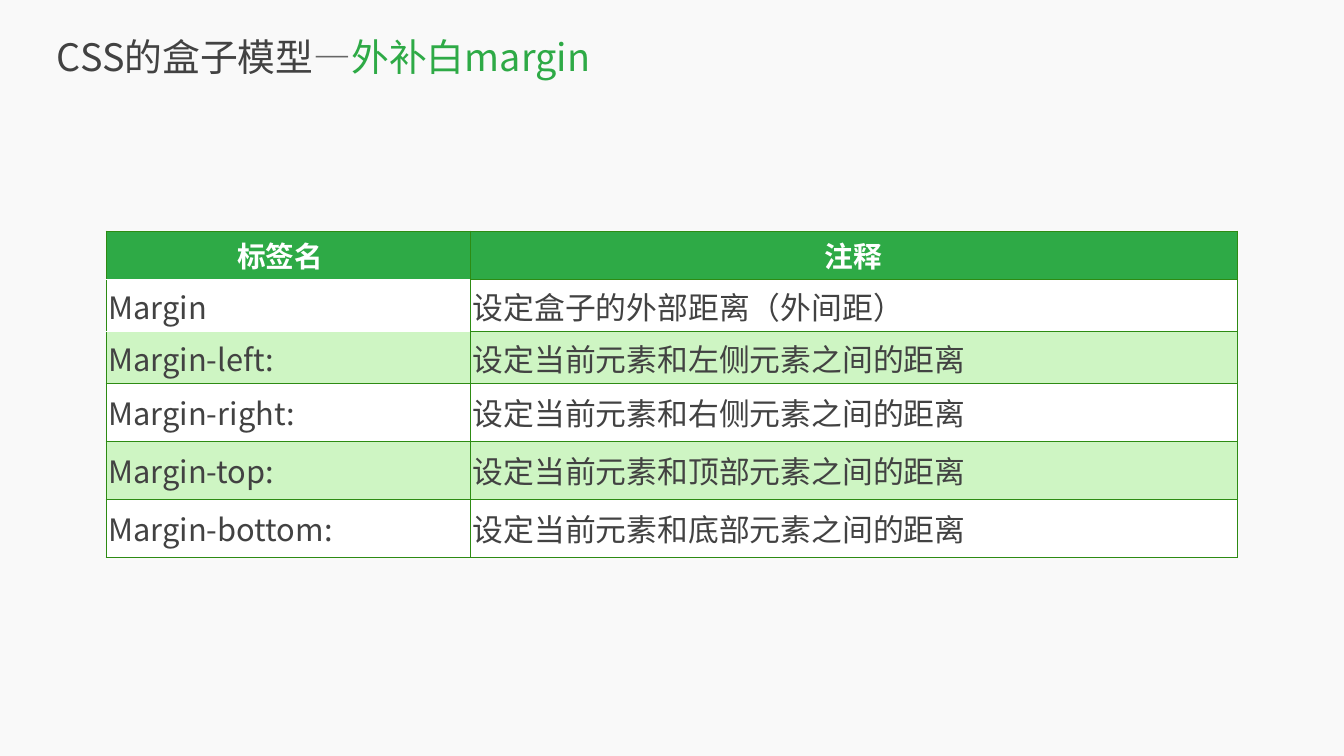
from pptx import Presentation
from pptx.dml.color import RGBColor
from pptx.enum.text import MSO_ANCHOR, MSO_AUTO_SIZE, PP_ALIGN
from pptx.oxml import parse_xml
from pptx.oxml.ns import nsdecls
from pptx.util import Pt

FONT = "Noto Sans CJK SC"
COLORS = {
    "background": "F9F9F9",
    "text": "424242",
    "dash": "666666",
    "accent": "2EAA46",
    "border": "2D8B13",
    "band": "CEF5C3",
    "white": "FFFFFF",
}
TITLE = [("CSS的盒子模型", "text"), ("—", "dash"), ("外补白margin", "accent")]
ROWS = [
    ("标签名", "注释"),
    ("Margin", "设定盒子的外部距离（外间距）"),
    ("Margin-left:", "设定当前元素和左侧元素之间的距离"),
    ("Margin-right:", "设定当前元素和右侧元素之间的距离"),
    ("Margin-top:", "设定当前元素和顶部元素之间的距离"),
    ("Margin-bottom:", "设定当前元素和底部元素之间的距离"),
]
COL_WIDTHS = [520.5, 1095.5]
ROW_HEIGHTS = [69.8, 74.2, 74.2, 82.8, 82.8, 82.8]


def rgb(name):
    return RGBColor.from_string(COLORS[name])


def format_run(r, size, color, bold=False):
    r.font.size = Pt(size)
    r.font.bold = bold
    r.font.name = FONT
    r.font.color.rgb = rgb(color)
    # East Asian typeface follows the Latin one
    r.font._element.append(
        parse_xml(f'<a:ea {nsdecls("a")} typeface="{FONT}"/>'))


def set_borders(cell, white_sides):
    tc_pr = cell._tc.get_or_add_tcPr()
    for i, side in enumerate("LRTB"):
        color, width = ("white", 1) if side in white_sides else ("border", 0.75)
        tc_pr.insert(i, parse_xml(
            f'<a:ln{side} {nsdecls("a")} w="{Pt(width)}"><a:solidFill>'
            f'<a:srgbClr val="{COLORS[color]}"/></a:solidFill></a:ln{side}>'))


def add_title(s):
    sp = s.shapes.title
    sp.left, sp.top, sp.width, sp.height = Pt(81.4), Pt(16.6), Pt(1811.5), Pt(126.7)
    tf = sp.text_frame
    tf.auto_size = MSO_AUTO_SIZE.NONE
    tf.vertical_anchor = MSO_ANCHOR.MIDDLE
    tf.margin_left = tf.margin_right = tf.margin_top = tf.margin_bottom = 0
    p = tf.paragraphs[0]
    p.alignment = PP_ALIGN.LEFT
    for text, color in TITLE:
        r = p.add_run()
        r.text = text
        format_run(r, 54, color)


def fill_cell(cell, text, row, col):
    header = row == 0
    cell.fill.solid()
    fill = "accent" if header else "white" if row % 2 else "band"
    cell.fill.fore_color.rgb = rgb(fill)
    cell.vertical_anchor = MSO_ANCHOR.MIDDLE
    cell.margin_left = cell.margin_right = Pt(3.6)
    cell.margin_top = cell.margin_bottom = Pt(3.6)
    p = cell.text_frame.paragraphs[0]
    p.text = text
    if header:
        p.alignment = PP_ALIGN.CENTER
        if col == 0:
            cell.margin_right = Pt(26)  # label sits left of centre
    elif row <= 2:
        p.space_before = Pt(8)
    format_run(p.runs[0], 41 if header else 44, "white" if header else "text", header)
    # White rules frame the first entry of the name column
    white_sides = {0: "B", 1: "TB", 2: "T"}.get(row, "") if col == 0 else ""
    set_borders(cell, white_sides)


def add_margin_table(s):
    frame = s.shapes.add_table(len(ROWS), len(COL_WIDTHS), Pt(151.2), Pt(329.8),
                               Pt(sum(COL_WIDTHS)), Pt(sum(ROW_HEIGHTS)))
    table = frame.table
    for column, width in zip(table.columns, COL_WIDTHS):
        column.width = Pt(width)
    for i, (texts, height) in enumerate(zip(ROWS, ROW_HEIGHTS)):
        table.rows[i].height = Pt(height)
        for j, text in enumerate(texts):
            fill_cell(table.cell(i, j), text, i, j)


def main():
    prs = Presentation()
    prs.slide_width, prs.slide_height = Pt(1920), Pt(1080)
    s = prs.slides.add_slide(prs.slide_layouts[5])
    s.background.fill.solid()
    s.background.fill.fore_color.rgb = rgb("background")
    add_title(s)
    add_margin_table(s)
    prs.save("out.pptx")


if __name__ == "__main__":
    main()
